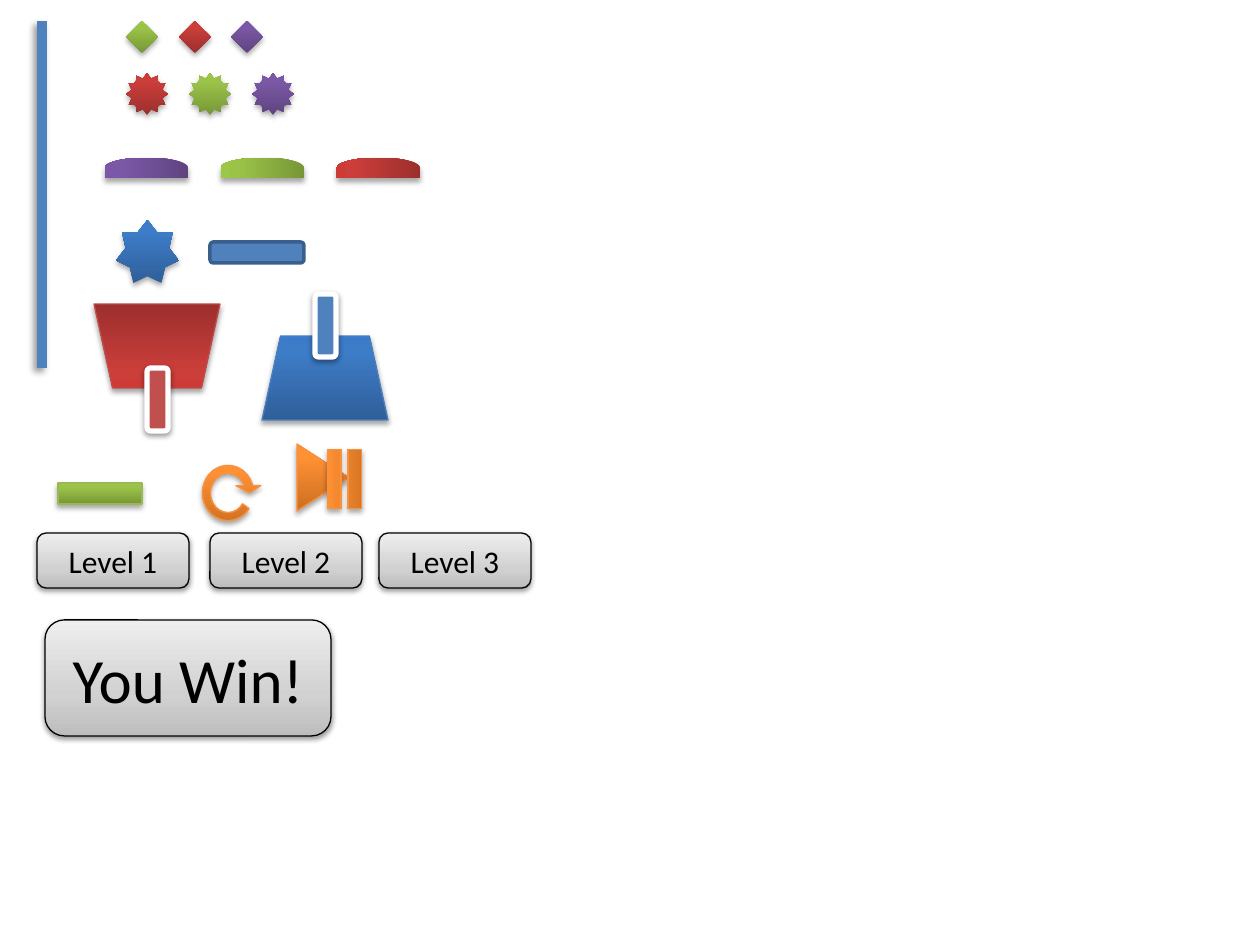
from lxml.etree import SubElement
from pptx import Presentation
from pptx.dml.color import RGBColor
from pptx.enum.shapes import MSO_CONNECTOR, MSO_SHAPE as SHAPE
from pptx.enum.text import MSO_ANCHOR, PP_ALIGN
from pptx.oxml.ns import qn
from pptx.util import Inches, Pt

PX = Inches(1) / 126

WHITE = RGBColor(0xFF, 0xFF, 0xFF)
BLACK = RGBColor(0x00, 0x00, 0x00)
FLAT_BLUE = RGBColor(0x4F, 0x81, 0xBD)
FLAT_RED = RGBColor(0xC0, 0x50, 0x4D)
DARK_BLUE = RGBColor(0x3A, 0x5F, 0x8C)
BLUE_EDGE = RGBColor(0x4B, 0x7E, 0xBC)
RED_EDGE = RGBColor(0xBF, 0x4C, 0x48)
GREEN_EDGE = RGBColor(0x98, 0xB9, 0x55)
ORANGE_EDGE = RGBColor(0xF6, 0x92, 0x40)


def gradient(middle, *colors):
    """Pair three colours with their positions in percent."""
    return list(zip((0, middle, 100), map(RGBColor.from_string, colors)))


BLUE = gradient(80, "2F5F99", "3D7CC7", "3A7CCB")
RED = gradient(80, "9C2F2D", "CB3E3A", "CE3B37")
GREEN = gradient(80, "779737", "9BC348", "9DC746")
PURPLE = gradient(80, "5F4480", "7B58A6", "7C57A8")
ORANGE = gradient(80, "CC6E20", "FF9034", "FF9136")
GREY = gradient(35, "BDBDBD", "D1D1D1", "EEEEEE")

# Shadows: opacity in percent, blur and distance in points, direction in degrees
SOFT = (35, 3.1, 1.8, 90)
FIRM = (38, 3.1, 1.6, 90)
SIDE = (40, 4, 3, 135)


class Board:
    font = "Calibri"

    def __init__(self, slide):
        self.slide = slide

    def px(self, *lengths):
        return [round(n * PX) for n in lengths]

    def shadow(self, effects, opacity, blur, distance, direction):
        outer = SubElement(effects, qn("a:outerShdw"), blurRad=str(Pt(blur)),
                           dist=str(Pt(distance)), dir=str(direction * 60000),
                           rotWithShape="0")
        color = SubElement(outer, qn("a:srgbClr"), val=str(BLACK))
        SubElement(color, qn("a:alpha"), val=str(opacity * 1000))

    def fill(self, sp, fill):
        if isinstance(fill, RGBColor):
            sp.fill.solid()
            sp.fill.fore_color.rgb = fill
            return
        sp.fill.gradient()
        sp.fill.gradient_angle = 90
        stops = sp._element.spPr.find(qn("a:gradFill")).find(qn("a:gsLst"))
        for stop in list(stops):
            stops.remove(stop)
        for position, color in fill:
            stop = SubElement(stops, qn("a:gs"), pos=str(position * 1000))
            SubElement(stop, qn("a:srgbClr"), val=str(color))

    def shape(self, kind, box, fill, line=None, width=0.75, shadow=SOFT,
              rotation=0, adjust=()):
        sp = self.slide.shapes.add_shape(kind, *self.px(*box))
        sp.rotation = rotation
        for i, value in enumerate(adjust):
            sp.adjustments[i] = value
        self.fill(sp, fill)
        if line is None:
            sp.line.fill.background()
        else:
            sp.line.color.rgb = line
            sp.line.width = Pt(width)
        sp.shadow.inherit = False
        if shadow:
            self.shadow(sp._element.spPr.find(qn("a:effectLst")), *shadow)
        return sp

    def button(self, text, box, size):
        sp = self.shape(SHAPE.ROUNDED_RECTANGLE, box, GREY, BLACK, shadow=FIRM)
        tf = sp.text_frame
        tf.word_wrap = True
        tf.vertical_anchor = MSO_ANCHOR.MIDDLE
        p = tf.paragraphs[0]
        p.text = text
        p.alignment = PP_ALIGN.CENTER
        p.font.name = self.font
        p.font.size = Pt(size)
        p.font.color.rgb = BLACK

    def line(self, x1, y1, x2, y2, color, width):
        c = self.slide.shapes.add_connector(MSO_CONNECTOR.STRAIGHT,
                                            *self.px(x1, y1, x2, y2))
        c.line.color.rgb = color
        c.line.width = Pt(width)
        self.shadow(SubElement(c._element.spPr, qn("a:effectLst")), *SIDE)


prs = Presentation()
prs.slide_width, prs.slide_height = Inches(10), Inches(7.5)
board = Board(prs.slides.add_slide(prs.slide_layouts[6]))

# Cannons: base with barrel
for base, barrel, fill, edge, barrel_fill, turn in (
        ((262, 336), (315, 294), BLUE, BLUE_EDGE, FLAT_BLUE, 0),
        ((94, 304), (147, 368), RED, RED_EDGE, FLAT_RED, 180)):
    board.shape(SHAPE.TRAPEZOID, (*base, 126, 84), fill, edge,
                rotation=turn, adjust=[0.221])
    board.shape(SHAPE.ROUNDED_RECTANGLE, (*barrel, 21, 63), barrel_fill, WHITE,
                width=3, shadow=FIRM, rotation=turn)

# Wall, blue star and paddle
board.line(42, 21, 42, 368, FLAT_BLUE, 6)
board.shape(SHAPE.STAR_7_POINT, (116, 220, 63, 63), BLUE)
board.shape(SHAPE.ROUNDED_RECTANGLE, (210, 242, 94, 21), FLAT_BLUE, DARK_BLUE,
            width=2, shadow=None)

# Rows of coloured pieces
for kind, lefts, top, width, height, turn, fills in (
        (SHAPE.FLOWCHART_DELAY, (136, 252, 368), 126, 21, 84, 270,
         (PURPLE, GREEN, RED)),
        (SHAPE.DIAMOND, (126, 179, 231), 21, 32, 32, 0, (GREEN, RED, PURPLE)),
        (SHAPE.STAR_12_POINT, (126, 189, 252), 73, 42, 42, 0,
         (RED, GREEN, PURPLE))):
    for left, fill in zip(lefts, fills):
        board.shape(kind, (left, top, width, height), fill, rotation=turn)

# Green block
board.shape(SHAPE.RECTANGLE, (58, 483, 84, 21), GREEN, GREEN_EDGE)

# Restart, play and pause icons
for kind, box, turn, adjust in (
        (SHAPE.CIRCULAR_ARROW, (194, 457, 68, 72), 0,
         (0.118, 11.423, 204.172, 21.881, 0.183)),
        (SHAPE.PENTAGON, (297, 444, 52, 67), 0, (2.019,)),
        (SHAPE.MATH_EQUAL, (304, 450, 81, 58), 270, ())):
    board.shape(kind, box, ORANGE, ORANGE_EDGE, rotation=turn, adjust=adjust)

# Buttons
for number, left in enumerate((37, 210, 379), 1):
    board.button(f"Level {number}", (left, 533, 152, 55), 18)
board.button("You Win!", (45, 620, 286, 116), 36)

prs.save("out.pptx")
